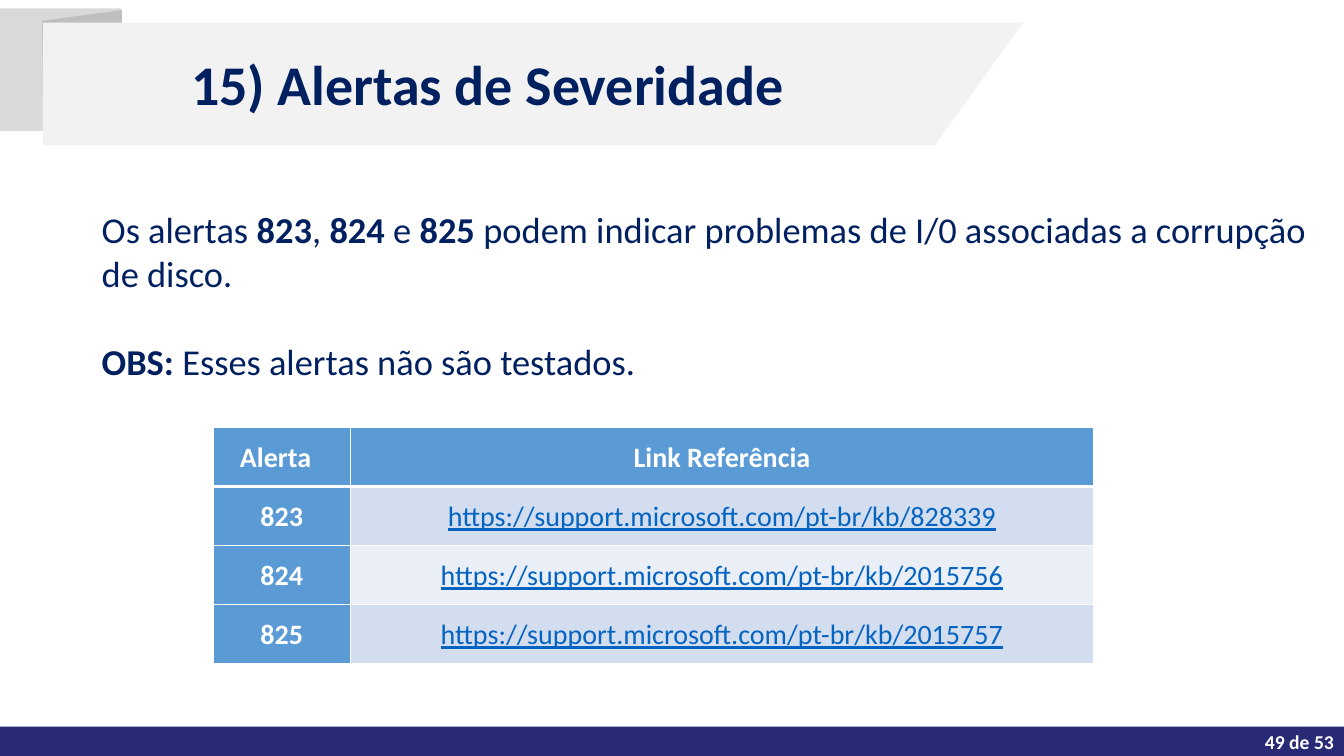
"""Build the severity alerts slide with its reference table."""
from dataclasses import dataclass

from lxml import etree
from pptx import Presentation
from pptx.dml.color import RGBColor
from pptx.enum.shapes import MSO_SHAPE
from pptx.enum.text import MSO_ANCHOR, MSO_AUTO_SIZE, PP_ALIGN
from pptx.oxml.ns import qn
from pptx.util import Emu, Inches, Pt

RECTANGLE = MSO_SHAPE.RECTANGLE
LEFT, CENTER, RIGHT = PP_ALIGN.LEFT, PP_ALIGN.CENTER, PP_ALIGN.RIGHT
TOP, MIDDLE = MSO_ANCHOR.TOP, MSO_ANCHOR.MIDDLE
NO_AUTOFIT = MSO_AUTO_SIZE.NONE

SLIDE_WIDTH, SLIDE_HEIGHT = Inches(13.33), Inches(7.5)
GRID_COLUMNS, GRID_ROWS = 160, 90
TITLE_AND_CONTENT = 1


@dataclass(frozen=True)
class Theme:
    font: str = "Calibri"
    navy: str = "002060"
    footer: str = "292A76"
    white: str = "FFFFFF"
    tab: str = "D9D9D9"
    fold: str = "BFBFBF"
    banner: str = "F2F2F2"
    header: str = "5B9BD5"
    odd_row: str = "D2DEEF"
    even_row: str = "EAEFF7"
    link: str = "0563C1"
    title_size: int = 40
    body_size: int = 26
    table_size: int = 20
    page_size: int = 14


THEME = Theme()


@dataclass(frozen=True)
class Area:
    column: float
    row: float
    columns: float
    rows: float


@dataclass(frozen=True)
class Block:
    area: Area
    color: str


@dataclass(frozen=True)
class Polygon:
    points: tuple[tuple[float, float], ...]
    color: str


@dataclass(frozen=True)
class Alert:
    number: str
    link: str


BLOCKS = (
    Block(Area(0, 86.5, GRID_COLUMNS, 3.5), THEME.footer),
    Block(Area(0, 1, 14.4, 14.6), THEME.tab),
)
POLYGONS = (
    Polygon(((5, 2.5), (14.5, 1.2), (14.6, 17), (5.2, 17)), THEME.fold),
    Polygon(((5.1, 2.7), (121.8, 2.7), (111.3, 17.3), (5.1, 17.3)), THEME.banner),
)
TITLE_AREA = Area(5, 2.5, 106.1, 14.9)
BODY_AREA = Area(10.9, 18.8, 147.9, 27.5)
PAGE_AREA = Area(137.5, 86.6, 22.5, 3.4)
TABLE_AREA = Area(25.4, 50.9, 104.8, 28.1)
ALERT_COLUMNS = 16.3
BODY = (
    (("Os alertas ", False), ("823", True), (", ", False), ("824", True), (" e ", False),
     ("825", True),
     (" podem indicar problemas de I/0 associadas a corrupção de disco.", False)),
    (("OBS: ", True), ("Esses alertas não são testados.", False)),
)
ALERTS = (
    Alert("823", "https://support.microsoft.com/pt-br/kb/828339"),
    Alert("824", "https://support.microsoft.com/pt-br/kb/2015756"),
    Alert("825", "https://support.microsoft.com/pt-br/kb/2015757"),
)


def across(columns: float) -> Emu:
    return Emu(round(SLIDE_WIDTH * columns / GRID_COLUMNS))


def down(rows: float) -> Emu:
    return Emu(round(SLIDE_HEIGHT * rows / GRID_ROWS))


def bounds(area: Area) -> tuple[Emu, Emu, Emu, Emu]:
    return across(area.column), down(area.row), across(area.columns), down(area.rows)


def write(paragraph, text: str, *, size: float, color: str, bold: bool = False,
          underline: bool = False, align: PP_ALIGN = LEFT) -> None:
    paragraph.alignment = align
    run = paragraph.add_run()
    run.text = text
    run.font.name = THEME.font
    run.font.size = Pt(size)
    run.font.bold = bold
    run.font.underline = underline
    run.font.color.rgb = RGBColor.from_string(color)


def paint(shape, color: str) -> None:
    shape.shadow.inherit = False
    shape.fill.solid()
    shape.fill.fore_color.rgb = RGBColor.from_string(color)
    shape.line.fill.background()


def draw_polygon(slide, polygon: Polygon) -> None:
    start, *others = [(across(column), down(row)) for column, row in polygon.points]
    builder = slide.shapes.build_freeform(*start, scale=1.0)
    builder.add_line_segments(others, close=True)
    paint(builder.convert_to_shape(), polygon.color)


def place_text(slide, shape, area: Area, anchor: MSO_ANCHOR):
    shape.left, shape.top, shape.width, shape.height = bounds(area)
    slide.shapes.element.append(shape.element)
    frame = shape.text_frame
    frame.word_wrap = True
    frame.auto_size = NO_AUTOFIT
    frame.vertical_anchor = anchor
    return frame


def draw_body(slide) -> None:
    frame = place_text(slide, slide.placeholders[1], BODY_AREA, TOP)
    frame.margin_top = down(5.9)
    for index, pieces in enumerate(BODY):
        paragraph = frame.add_paragraph() if index else frame.paragraphs[0]
        properties = paragraph._p.get_or_add_pPr()
        properties.set("marL", "0")
        properties.set("indent", "0")
        etree.SubElement(properties, qn("a:buNone"))
        paragraph.space_before = Pt(31.7 if index else 0)
        for text, bold in pieces:
            write(paragraph, text, size=THEME.body_size, color=THEME.navy, bold=bold)


def add_borders(cell, bottom_width: float) -> None:
    properties = cell._tc.get_or_add_tcPr()
    for side, width in (("L", 1), ("R", 1), ("T", 1), ("B", bottom_width)):
        line = etree.SubElement(properties, qn(f"a:ln{side}"), w=str(Pt(width)))
        fill = etree.SubElement(line, qn("a:solidFill"))
        etree.SubElement(fill, qn("a:srgbClr"), val=THEME.white)


def fill_cell(cell, text: str, *, fill: str, color: str, bold: bool = True,
              underline: bool = False, bottom_width: float = 1) -> None:
    add_borders(cell, bottom_width)
    cell.fill.solid()
    cell.fill.fore_color.rgb = RGBColor.from_string(fill)
    cell.margin_left = cell.margin_right = across(0.6)
    cell.margin_top = cell.margin_bottom = 0
    cell.vertical_anchor = MIDDLE
    paragraph = cell.text_frame.paragraphs[0]
    paragraph.line_spacing = 1.07
    paragraph.space_after = Pt(8)
    write(paragraph, text, size=THEME.table_size, color=color, bold=bold,
          underline=underline, align=CENTER)


def draw_table(slide) -> None:
    row_count = len(ALERTS) + 1
    table = slide.shapes.add_table(row_count, 2, *bounds(TABLE_AREA)).table
    table.columns[0].width = across(ALERT_COLUMNS)
    table.columns[1].width = across(TABLE_AREA.columns - ALERT_COLUMNS)
    for row in table.rows:
        row.height = down(TABLE_AREA.rows / row_count)
    for column, heading in enumerate(("Alerta", "Link Referência")):
        fill_cell(table.cell(0, column), heading, fill=THEME.header,
                  color=THEME.white, bottom_width=3)
    table.cell(0, 0).margin_right = across(2.1)
    for row, alert in enumerate(ALERTS, start=1):
        fill_cell(table.cell(row, 0), alert.number, fill=THEME.header, color=THEME.white,)
        fill_cell(table.cell(row, 1), alert.link, color=THEME.link, bold=False,
                  underline=True, fill=THEME.odd_row if row % 2 else THEME.even_row)


def main() -> None:
    presentation = Presentation()
    presentation.slide_width, presentation.slide_height = SLIDE_WIDTH, SLIDE_HEIGHT
    slide = presentation.slides.add_slide(presentation.slide_layouts[TITLE_AND_CONTENT])
    for block in BLOCKS:
        paint(slide.shapes.add_shape(RECTANGLE, *bounds(block.area)), block.color)
    for polygon in POLYGONS:
        draw_polygon(slide, polygon)
    draw_body(slide)
    title = place_text(slide, slide.shapes.title, TITLE_AREA, MIDDLE)
    write(title.paragraphs[0], "15) Alertas de Severidade", size=THEME.title_size,
          color=THEME.navy, bold=True, align=CENTER)
    draw_table(slide)
    page_box = slide.shapes.add_textbox(*bounds(PAGE_AREA))
    page = place_text(slide, page_box, PAGE_AREA, MIDDLE)
    write(page.paragraphs[0], "49 de 53", size=THEME.page_size, color=THEME.white,
          bold=True, align=RIGHT)
    presentation.save("out.pptx")


if __name__ == "__main__":
    main()
